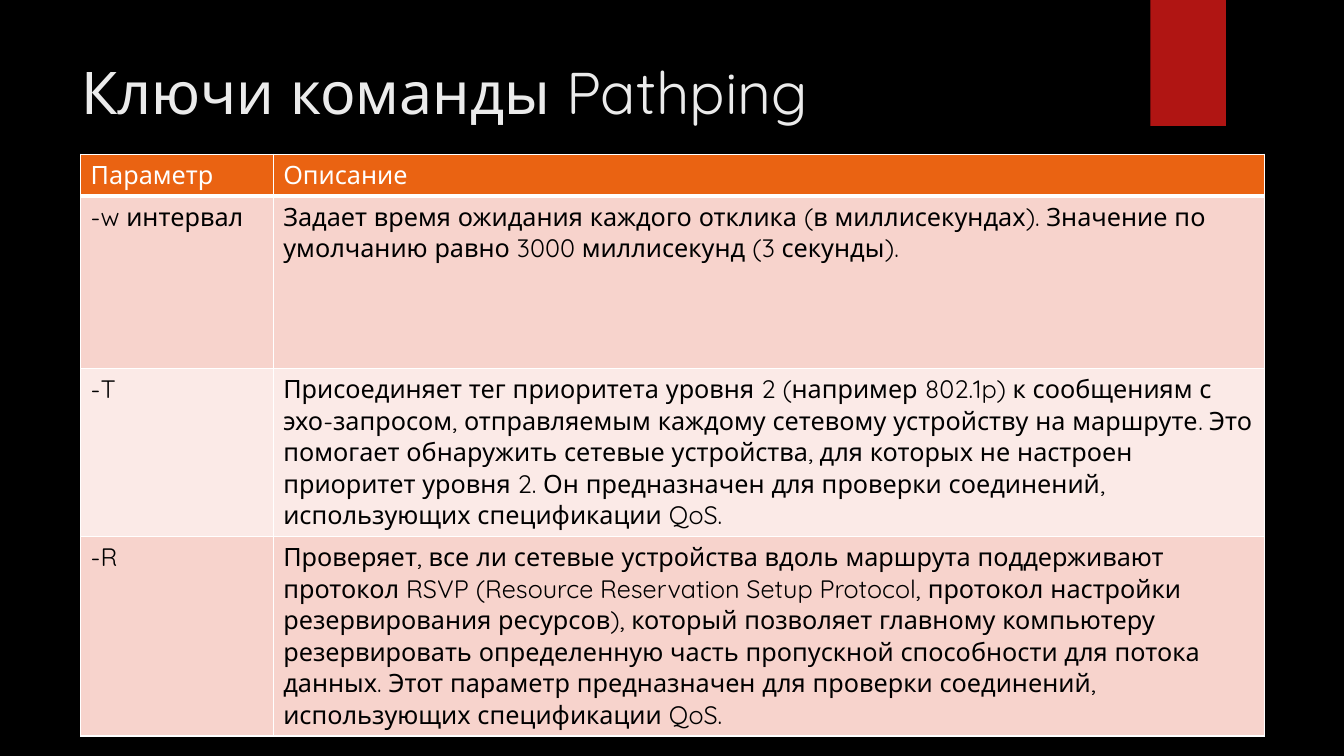
from lxml.etree import SubElement
from pptx import Presentation
from pptx.dml.color import RGBColor
from pptx.enum.shapes import MSO_SHAPE
from pptx.enum.text import MSO_ANCHOR, PP_ALIGN
from pptx.oxml.ns import qn
from pptx.util import Inches, Pt

COLORS = {
    "background": "000000",
    "ribbon": "B01513",
    "title": "EBEBEB",
    "header": "EA6312",
    "header_text": "FFFFFF",
    "band_dark": "F7D3CC",
    "band_light": "FBEAE7",
    "body_text": "000000",
    "border": "FFFFFF",
}
FONT = "Quicksand"
COLUMN_WIDTHS = (1.91, 9.83)
ROW_HEIGHTS = (0.33, 1.71, 1.3, 1.55)
OPTIONS = (
    ("Параметр", "Описание"),
    ("-w интервал",
     "Задает время ожидания каждого отклика (в миллисекундах). Значение по "
     "умолчанию равно 3000 миллисекунд (3 секунды)."),
    ("-T",
     "Присоединяет тег приоритета уровня 2 (например 802.1p) к сообщениям с "
     "эхо-запросом, отправляемым каждому сетевому устройству на маршруте. Это "
     "помогает обнаружить сетевые устройства, для которых не настроен "
     "приоритет уровня 2. Он предназначен для проверки соединений, "
     "использующих спецификации QoS."),
    ("-R",
     "Проверяет, все ли сетевые устройства вдоль маршрута поддерживают "
     "протокол RSVP (Resource Reservation Setup Protocol, протокол настройки "
     "резервирования ресурсов), который позволяет главному компьютеру "
     "резервировать определенную часть пропускной способности для потока "
     "данных. Этот параметр предназначен для проверки соединений, "
     "использующих спецификации QoS."),
)


def color(name):
    return RGBColor.from_string(COLORS[name])


def write(paragraph, text, size, color_name):
    paragraph.alignment = PP_ALIGN.LEFT
    run = paragraph.add_run()
    run.text = text
    run.font.name = FONT
    run.font.size = Pt(size)
    run.font.bold = False
    run.font.color.rgb = color(color_name)


def add_title(slide, text):
    title = slide.shapes.title
    title.left, title.top = Inches(0.71), Inches(0.5)
    title.width, title.height = Inches(10.29), Inches(1.53)
    frame = title.text_frame
    frame.word_wrap = True
    frame.vertical_anchor = MSO_ANCHOR.TOP
    write(frame.paragraphs[0], text, 42, "title")


def add_ribbon(slide):
    ribbon = slide.shapes.add_shape(
        MSO_SHAPE.RECTANGLE, Inches(11.41), 0, Inches(0.75), Inches(1.25))
    ribbon.shadow.inherit = False
    ribbon.fill.solid()
    ribbon.fill.fore_color.rgb = color("ribbon")
    ribbon.line.fill.background()


def add_borders(cell, bottom_width):
    """Draw all four borders; call before filling, as the schema wants lines first."""
    properties = cell._tc.get_or_add_tcPr()
    for side, width in (("L", 1), ("R", 1), ("T", 1), ("B", bottom_width)):
        line = SubElement(properties, qn(f"a:ln{side}"), w=str(Pt(width)))
        fill = SubElement(line, qn("a:solidFill"))
        SubElement(fill, qn("a:srgbClr"), val=COLORS["border"])


def fill_cell(cell, text, row):
    is_header = row == 0
    add_borders(cell, 3 if is_header else 1)
    band = "header" if is_header else "band_dark" if row % 2 else "band_light"
    cell.fill.solid()
    cell.fill.fore_color.rgb = color(band)
    write(cell.text_frame.paragraphs[0], text, 18,
          "header_text" if is_header else "body_text")


def add_options_table(slide):
    options = slide.shapes.add_table(
        len(ROW_HEIGHTS), len(COLUMN_WIDTHS), Inches(0.8), Inches(1.53),
        Inches(sum(COLUMN_WIDTHS)), Inches(sum(ROW_HEIGHTS))).table
    for column, width in zip(options.columns, COLUMN_WIDTHS):
        column.width = Inches(width)
    for row, (height, texts) in enumerate(zip(ROW_HEIGHTS, OPTIONS)):
        options.rows[row].height = Inches(height)
        for column, text in enumerate(texts):
            fill_cell(options.cell(row, column), text, row)


def main():
    deck = Presentation()
    deck.slide_width, deck.slide_height = Inches(13.33), Inches(7.5)
    slide = deck.slides.add_slide(deck.slide_layouts.get_by_name("Title Only"))
    slide.background.fill.solid()
    slide.background.fill.fore_color.rgb = color("background")
    add_ribbon(slide)
    add_title(slide, "Ключи команды Pathping")
    add_options_table(slide)
    deck.save("out.pptx")


if __name__ == "__main__":
    main()
